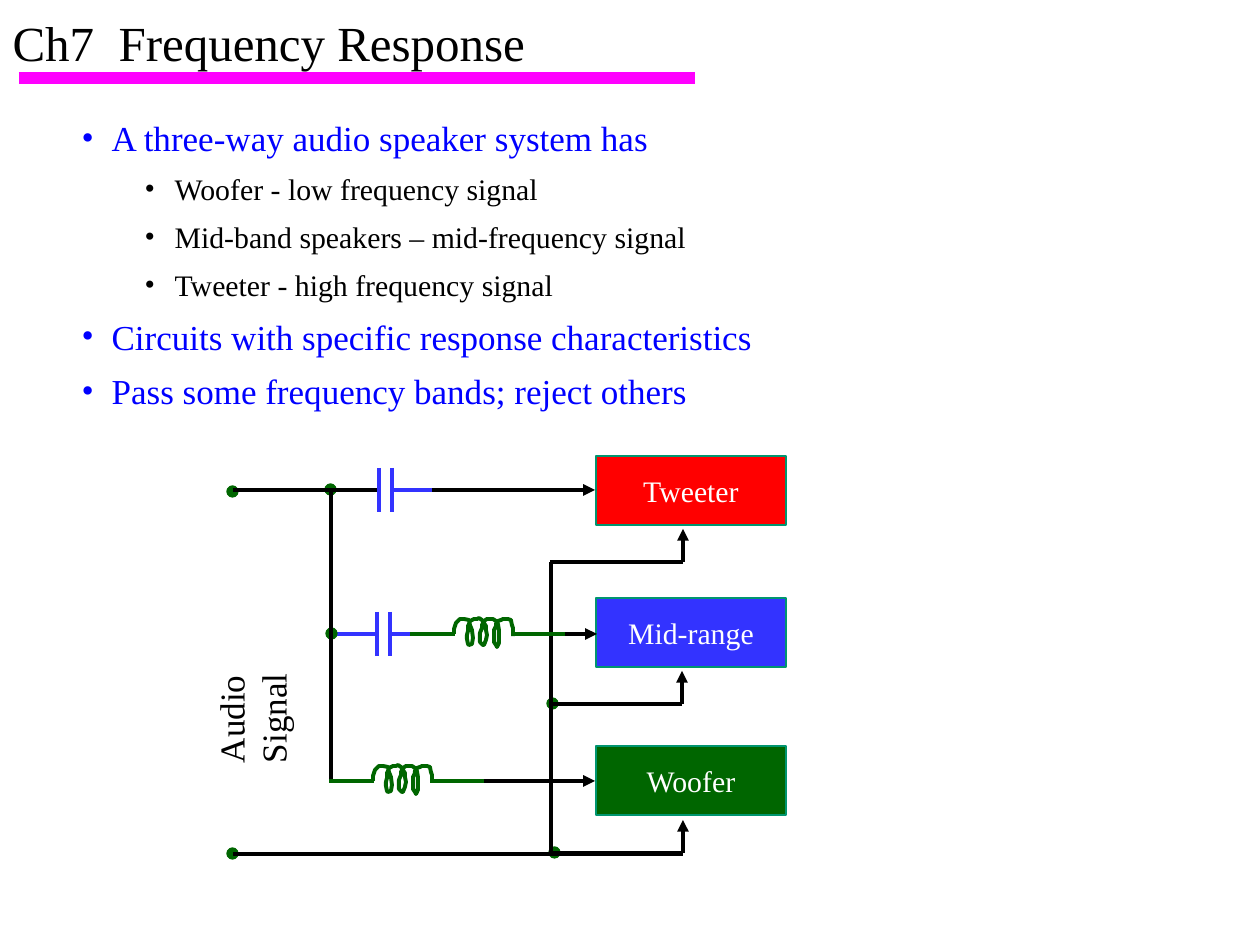
from lxml.etree import SubElement
from pptx import Presentation
from pptx.dml.color import RGBColor
from pptx.enum.shapes import MSO_CONNECTOR, MSO_SHAPE
from pptx.enum.text import MSO_ANCHOR, MSO_AUTO_SIZE, PP_ALIGN
from pptx.oxml.ns import qn
from pptx.util import Inches, Pt

PX = Inches(1) / 126
INK = {
    "black": "000000", "white": "FFFFFF", "pink": "FF00FF", "text": "0000FF",
    "blue": "3333FF", "green": "006600", "red": "FF0000", "edge": "00956F",
}


def style(para, size, ink):
    for run in para.runs:
        run.font.name = "Times New Roman"
        run.font.size = Pt(size)
        run.font.color.rgb = RGBColor.from_string(INK[ink])


def wire(x1, y1, x2, y2, ink="black", arrow=False, width=2.25):
    """Draw a straight line between two points given in px."""
    ends = [round(v * PX) for v in (x1, y1, x2, y2)]
    line = slide.shapes.add_connector(MSO_CONNECTOR.STRAIGHT, *ends)
    line.line.width = Pt(width)
    line.line.color.rgb = RGBColor.from_string(INK[ink])
    props = line._element.spPr
    if arrow:
        SubElement(props.find(qn("a:ln")), qn("a:tailEnd"), type="triangle")
    SubElement(props, qn("a:effectLst"))


prs = Presentation()
prs.slide_width, prs.slide_height = Inches(10), Inches(7.5)
slide = prs.slides.add_slide(prs.slide_layouts[1])
shapes = slide.shapes
title, body = slide.placeholders

# Title and rule
for box, place in ((title, (0, 0, 745, 84)), (body, (69, 108, 779, 319))):
    box.left, box.top, box.width, box.height = [round(v * PX) for v in place]
    box.text_frame.auto_size = MSO_AUTO_SIZE.NONE
title.text_frame.text = "Ch7  Frequency Response"
title.text_frame.vertical_anchor = MSO_ANCHOR.MIDDLE
title.text_frame.paragraphs[0].alignment = PP_ALIGN.LEFT
style(title.text_frame.paragraphs[0], 28, "black")
wire(19, 78, 695, 78, "pink", width=7)

# Bullet list
points = [
    (0, "A three-way audio speaker system has"),
    (1, "Woofer - low frequency signal"),
    (1, "Mid-band speakers – mid-frequency signal"),
    (1, "Tweeter - high frequency signal"),
    (0, "Circuits with specific response characteristics"),
    (0, "Pass some frequency bands; reject others"),
]
looks = [(30, 20, "text"), (93, 17, "black")]
body.text_frame.text = "\n".join(text for level, text in points)
for para, (level, text) in zip(body.text_frame.paragraphs, points):
    indent, size, ink = looks[level]
    para.level = level
    para.line_spacing = 1.05
    para.space_before, para.space_after = Pt(0), Pt(6)
    props = para._p.get_or_add_pPr()
    props.set("marL", str(round(indent * PX)))
    props.set("indent", str(round(-30 * PX)))
    SubElement(SubElement(props, qn("a:buClr")), qn("a:srgbClr"), val=INK[ink])
    SubElement(props, qn("a:buFont"), typeface="Times New Roman")
    SubElement(props, qn("a:buChar"), char="•")
    style(para, size, ink)

# Capacitors
for x, y in ((379, 490), (377, 634)):
    for plate in (x, x + 13):
        wire(plate, y - 22, plate, y + 22, "blue")
    wire(x - 46, y, x, y, "blue")
    wire(x + 13, y, x + 64, y, "blue")

# Speakers
for name, ink, y in (("Tweeter", "red", 456), ("Mid-range", "blue", 598),
                     ("Woofer", "green", 746)):
    place = [round(v * PX) for v in (596, y, 190, 69)]
    box = shapes.add_shape(MSO_SHAPE.RECTANGLE, *place)
    box.shadow.inherit = False
    box.fill.solid()
    box.fill.fore_color.rgb = RGBColor.from_string(INK[ink])
    box.line.color.rgb = RGBColor.from_string(INK["edge"])
    box.line.width = Pt(1)
    box.text_frame.text = name
    box.text_frame.vertical_anchor = MSO_ANCHOR.MIDDLE
    box.text_frame.paragraphs[0].alignment = PP_ALIGN.CENTER
    style(box.text_frame.paragraphs[0], 17, "white")

# Junctions
for x, y in ((331, 490), (332, 634), (233, 492), (233, 854), (553, 704), (555, 853)):
    place = [round(v * PX) for v in (x - 6, y - 6, 11, 11)]
    dot = shapes.add_shape(MSO_SHAPE.OVAL, *place)
    dot.shadow.inherit = False
    dot.fill.solid()
    dot.fill.fore_color.rgb = RGBColor.from_string(INK["green"])
    dot.line.color.rgb = RGBColor.from_string(INK["green"])
    dot.line.width = Pt(0.75)

# Signal wires
for x1, x2, y in ((432, 595, 490), (539, 597, 634), (432, 595, 781)):
    wire(x1, y, x2, y, arrow=True)
wire(331, 491, 331, 780)
wire(233, 490, 377, 490)

# Return wires
wire(233, 854, 683, 854)
wire(551, 854, 551, 562)
for x, y in ((683, 562), (682, 704), (683, 853)):
    wire(550, y, x, y)
    wire(x, y, x, y - 33, arrow=True)

# Coils with their leads
turns = [
    (0, -5), (2, -11), (6, -15), (10, -15), (15, -14), (16, -9), (18, -4),
    (19, 4), (18, 10), (15, 11), (14, 10), (13, 5), (13, 1), (14, -3),
    (14, -8), (15, -10), (16, -13), (18, -14), (20, -15), (23, -15),
    (25, -16), (28, -14), (30, -11), (32, -8), (32, -4), (33, 1), (32, 6),
    (30, 11), (29, 11), (26, 8), (26, 3), (26, -1), (28, -6), (28, -9),
    (30, -13), (33, -15), (35, -15), (39, -15), (42, -13), (44, -10),
    (45, -4), (45, 3), (45, 9), (43, 13), (42, 11), (40, 8), (40, 1),
    (40, -4), (42, -8), (42, -10), (44, -13), (47, -14), (49, -15),
    (53, -15), (54, -15), (57, -14), (58, -9), (59, -6), (59, -3), (59, 2),
]
for x, y in ((454, 634), (373, 781)):
    pen = shapes.build_freeform(x, y, scale=PX)
    pen.add_line_segments([(x + dx, y + dy) for dx, dy in turns], close=False)
    coil = pen.convert_to_shape()
    coil.shadow.inherit = False
    coil.fill.background()
    coil.line.color.rgb = RGBColor.from_string(INK["green"])
    coil.line.width = Pt(2.25)
    wire(x - 44, y, x + 1, y, "green")
    wire(x + 60, y, x + 111, y, "green")

# Input label
label = shapes.add_textbox(*[round(v * PX) for v in (126, 643, 210, 55)])
label.rotation = 270
label.text_frame.word_wrap = False
label.text_frame.auto_size = MSO_AUTO_SIZE.SHAPE_TO_FIT_TEXT
label.text_frame.text = "Audio Signal"
style(label.text_frame.paragraphs[0], 20, "black")

prs.save("out.pptx")
